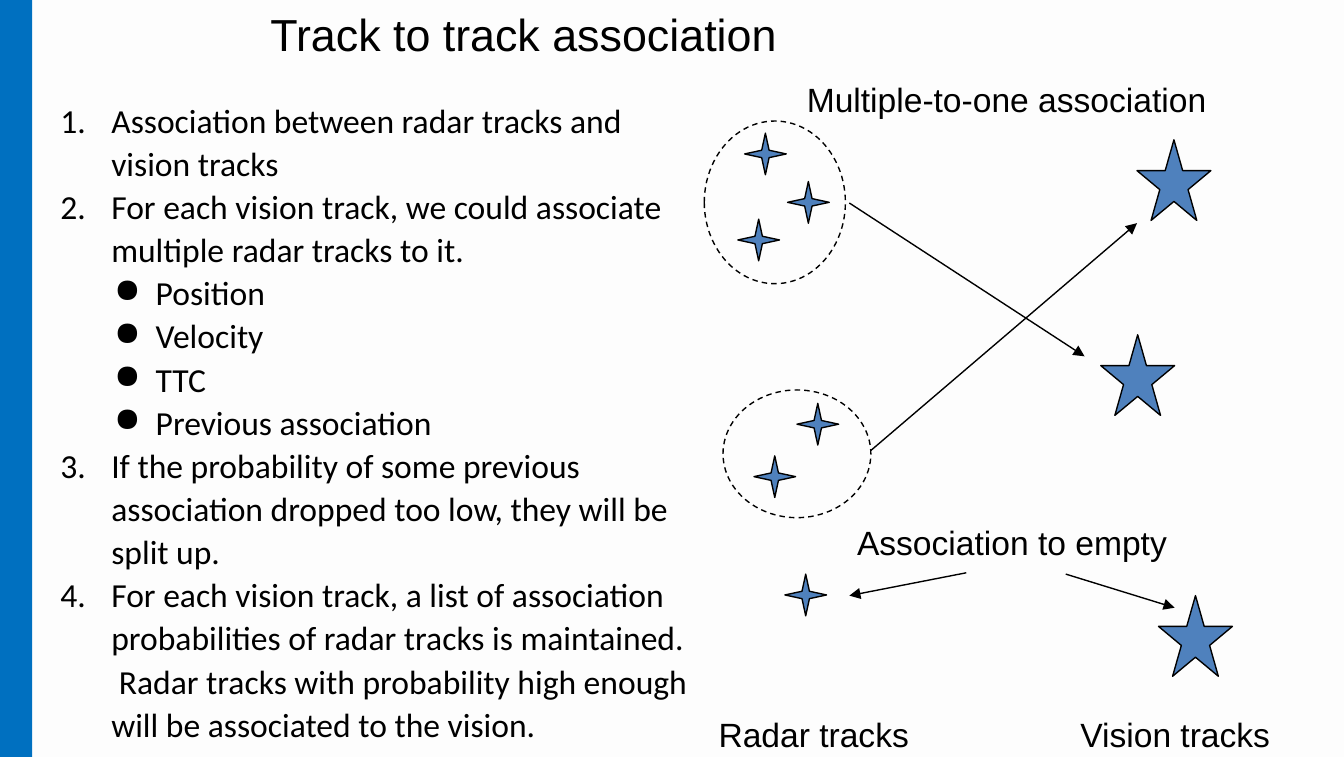
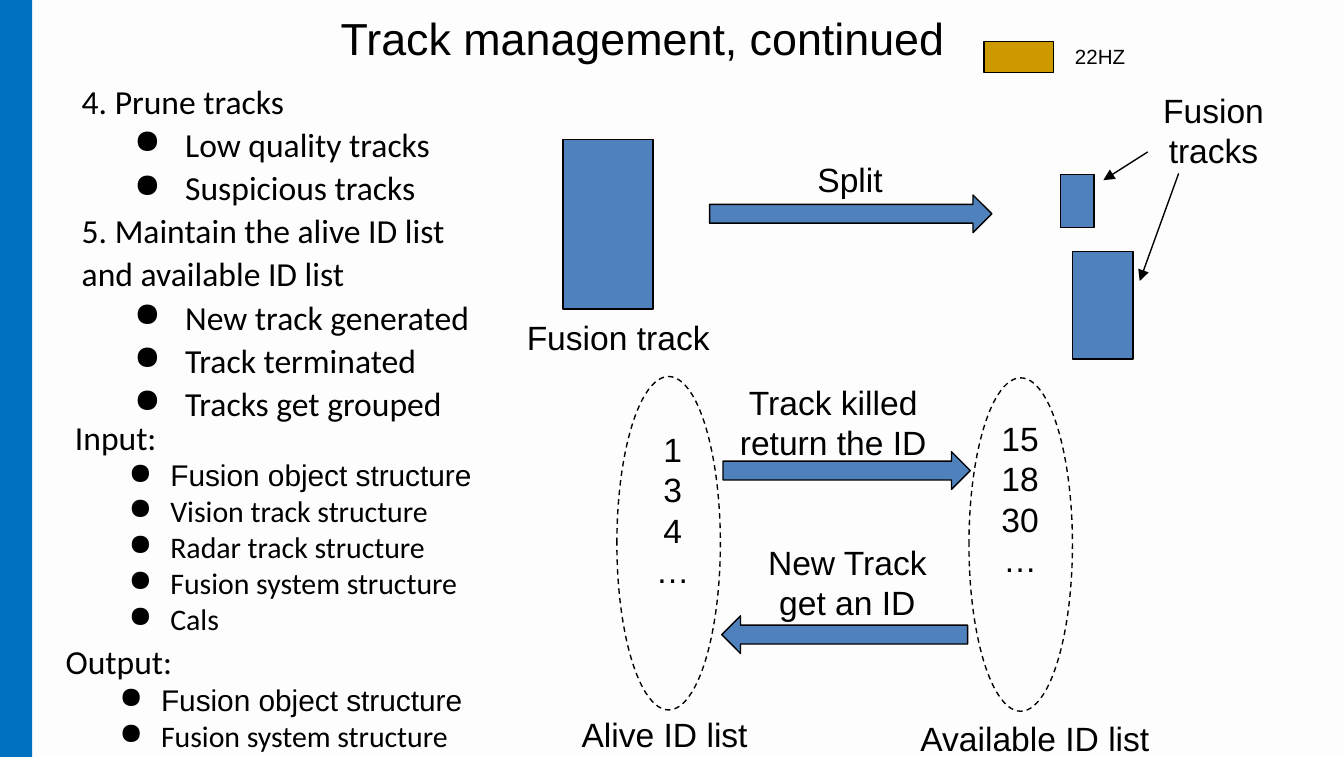
from lxml import etree
from pptx import Presentation
from pptx.dml.color import RGBColor
from pptx.enum.dml import MSO_LINE
from pptx.enum.shapes import MSO_CONNECTOR, MSO_SHAPE as SHAPE
from pptx.enum.text import MSO_ANCHOR, MSO_AUTO_SIZE as FIT, PP_ALIGN as ALIGN
from pptx.oxml.ns import qn
from pptx.util import Inches, Pt

COLORS = {"page": "FDFDFD", "band": "0070C0", "track": "4F81BD",
          "rate": "CC9900", "ink": "000000"}
HEAD, BODY = "Arial", "Calibri"
WIDTH, HEIGHT = 10, 5.63
RADAR_SIZE = 0.31
VISION_SIZE = (0.55, 0.6)
ID_LIST_SIZE = (0.77, 2.48)


def rgb(name):
    return RGBColor.from_string(COLORS[name])


def inches(values):
    return [Inches(v) for v in values]


class Deck:
    def __init__(self):
        self.prs = Presentation()
        self.prs.slide_width, self.prs.slide_height = inches((WIDTH, HEIGHT))
        fill = self.prs.slide_master.background.fill
        fill.solid()
        fill.fore_color.rgb = rgb("page")
        self.s = None

    def slide(self, title, box):
        self.s = self.prs.slides.add_slide(self.prs.slide_layouts[5])
        self.shape(SHAPE.RECTANGLE, (0, 0, 0.24, HEIGHT), "band", line=False)
        sp = self.s.shapes.title
        sp.left, sp.top, sp.width, sp.height = inches(box)
        tf = sp.text_frame
        tf.auto_size = FIT.NONE
        tf.vertical_anchor = MSO_ANCHOR.MIDDLE
        tf.paragraphs[0].alignment = ALIGN.CENTER
        self.run(tf.paragraphs[0], title, 24, HEAD)

    def run(self, p, text, size, font):
        r = p.add_run()
        r.text = text
        r.font.size = Pt(size)
        r.font.name = font
        r.font.color.rgb = rgb("ink")

    def frame(self, box, wrap=True):
        tf = self.s.shapes.add_textbox(*inches(box)).text_frame
        tf.word_wrap = wrap
        tf.auto_size = FIT.SHAPE_TO_FIT_TEXT
        return tf

    def paragraph(self, tf):
        p = tf.paragraphs[0]
        return tf.add_paragraph() if p.runs else p

    def label(self, box, *lines, size=18, align=ALIGN.CENTER, wrap=False):
        tf = self.frame(box, wrap)
        for text in lines:
            p = self.paragraph(tf)
            p.alignment = align
            self.run(p, text, size, HEAD)

    def outline(self, box, groups, indent, hang, numbered=False,
                size=18, spacing=1.07, first_font=BODY):
        tf = self.frame(box)
        for heading, items in groups:
            p = self.paragraph(tf)
            p.line_spacing = 1.07
            if numbered:
                self.bullet(p, 0.38, 0.38, "buAutoNum", type="arabicPeriod")
            self.run(p, heading, 18, BODY)
            for i, item in enumerate(items):
                p = self.paragraph(tf)
                p.level = 1
                p.line_spacing = spacing
                self.bullet(p, indent, hang, "buChar", char="●")
                self.run(p, item, size, BODY if i else first_font)

    def bullet(self, p, indent, hang, tag, **attrs):
        pr = p._p.get_or_add_pPr()
        pr.set("marL", str(Inches(indent)))
        pr.set("indent", str(-Inches(hang)))
        etree.SubElement(pr, qn("a:" + tag), **attrs)

    def shape(self, kind, box, fill="track", line=True, dash=False):
        sp = self.s.shapes.add_shape(kind, *inches(box))
        sp.shadow.inherit = False
        if fill:
            sp.fill.solid()
            sp.fill.fore_color.rgb = rgb(fill)
        else:
            sp.fill.background()
        if line:
            sp.line.color.rgb = rgb("ink")
            sp.line.width = Pt(0.75)
        else:
            sp.line.fill.background()
        if dash:
            sp.line.dash_style = MSO_LINE.DASH

    def group(self, box):
        self.shape(SHAPE.OVAL, box, fill=None, dash=True)

    def arrow(self, start, end):
        c = self.s.shapes.add_connector(MSO_CONNECTOR.STRAIGHT, *inches(start + end))
        c.line.color.rgb = rgb("ink")
        c.line.width = Pt(0.75)
        etree.SubElement(c.line._get_or_add_ln(), qn("a:tailEnd"), type="triangle")
        etree.SubElement(c._element.spPr, qn("a:effectLst"))


def association(d):
    d.slide("Track to track association", (1.77, 0, 4.25, 0.5))
    d.outline((0.35, 0.67, 4.88, 5.29), [
        ("Association between radar tracks and vision tracks", []),
        ("For each vision track, we could associate multiple radar tracks to it.",
         ["Position", "Velocity", "TTC", "Previous association"]),
        ("If the probability of some previous association dropped too low, "
         "they will be split up.", []),
        ("For each vision track, a list of association probabilities of radar "
         "tracks is maintained.  Radar tracks with probability high enough "
         "will be associated to the vision.", []),
    ], 0.71, 0.31, numbered=True)

    for x, y in [(5.49, 1.63), (5.93, 3), (5.86, 1.35),
                 (5.54, 0.99), (5.61, 3.39), (5.84, 4.27)]:
        d.shape(SHAPE.STAR_4_POINT, (x, y, RADAR_SIZE, RADAR_SIZE))
    d.group((5.24, 0.9, 1.05, 1.21))
    d.group((5.38, 2.9, 1.1, 0.95))
    for corner in [(8.46, 1.04), (8.19, 2.49), (8.62, 4.43)]:
        d.shape(SHAPE.STAR_5_POINT, corner + VISION_SIZE)

    d.label((5.24, 5.26, 1.63, 0.4), "Radar tracks")
    d.label((7.93, 5.26, 1.63, 0.4), "Vision tracks")
    d.label((6.24, 3.83, 2.58, 0.4), "Association to empty", wrap=True)
    d.label((5.72, 0.54, 3.61, 0.4), "Multiple-to-one association ", wrap=True)
    for start, end in [((6.32, 1.51), (8.07, 2.65)), ((6.48, 3.35), (8.46, 1.66)),
                       ((7.19, 4.26), (6.32, 4.43)), ((7.93, 4.27), (8.74, 4.52))]:
        d.arrow(start, end)


def management(d):
    d.slide("Track management, continued", (2.3, 0.03, 4.96, 0.5))
    d.shape(SHAPE.RECTANGLE, (7.32, 0.31, 0.52, 0.23), "rate")
    d.label((7.9, 0.28, 0.93, 0.29), "22HZ", size=11, align=ALIGN.LEFT, wrap=True)

    d.outline((0.51, 0.53, 3.23, 3.02), [
        ("4. Prune tracks", ["Low quality tracks", "Suspicious tracks"]),
        ("5. Maintain the alive ID list and available ID list",
         ["New track generated", "Track terminated", "Tracks get grouped"]),
    ], 0.77, 0.38)
    for box, heading, items in [
        ((0.46, 3.03, 3.94, 1.77), "Input:",
         ["Fusion object structure", "Vision track structure",
          "Radar track structure", "Fusion system structure", "Cals"]),
        ((0.39, 4.7, 3.94, 1.23), "Output:",
         ["Fusion object structure", "Fusion system structure"]),
    ]:
        d.outline(box, [(heading, items)], 0.71, 0.31,
                  size=16, spacing=None, first_font=HEAD)

    for box in [(7.89, 1.3, 0.25, 0.39), (7.98, 1.87, 0.45, 0.8),
                (4.19, 1.04, 0.67, 1.26)]:
        d.shape(SHAPE.RECTANGLE, box)
    d.shape(SHAPE.RIGHT_ARROW, (5.28, 1.45, 2.1, 0.28))
    d.label((3.81, 2.31, 1.58, 0.4), "Fusion track")
    d.label((5.98, 1.13, 0.69, 0.4), "Split")
    d.label((8.21, 0.62, 1.64, 0.71), "Fusion tracks", wrap=True)
    d.arrow((8.54, 1.13), (8.21, 1.34))
    d.arrow((8.77, 1.29), (8.48, 2.09))

    d.group((4.59, 2.8) + ID_LIST_SIZE)
    d.group((7.21, 2.81) + ID_LIST_SIZE)
    d.label((4.78, 3.14, 0.45, 1.62), "1", "3", "4", "…")
    d.label((7.35, 3.06, 0.48, 1.62), "15", "18", "30", "…")
    d.label((4.22, 5.26, 1.45, 0.4), "Alive ID list")
    d.label((6.74, 5.29, 1.92, 0.4), "Available ID list")
    d.shape(SHAPE.RIGHT_ARROW, (5.38, 3.36, 1.84, 0.28))
    d.shape(SHAPE.LEFT_ARROW, (5.37, 4.58, 1.83, 0.28))
    d.label((5.4, 2.79, 1.6, 0.71), "Track killed", "return the ID")
    d.label((5.61, 3.98, 1.39, 0.71), "New Track", "get an ID")


def main():
    d = Deck()
    association(d)
    management(d)
    d.prs.save("out.pptx")


if __name__ == "__main__":
    main()
